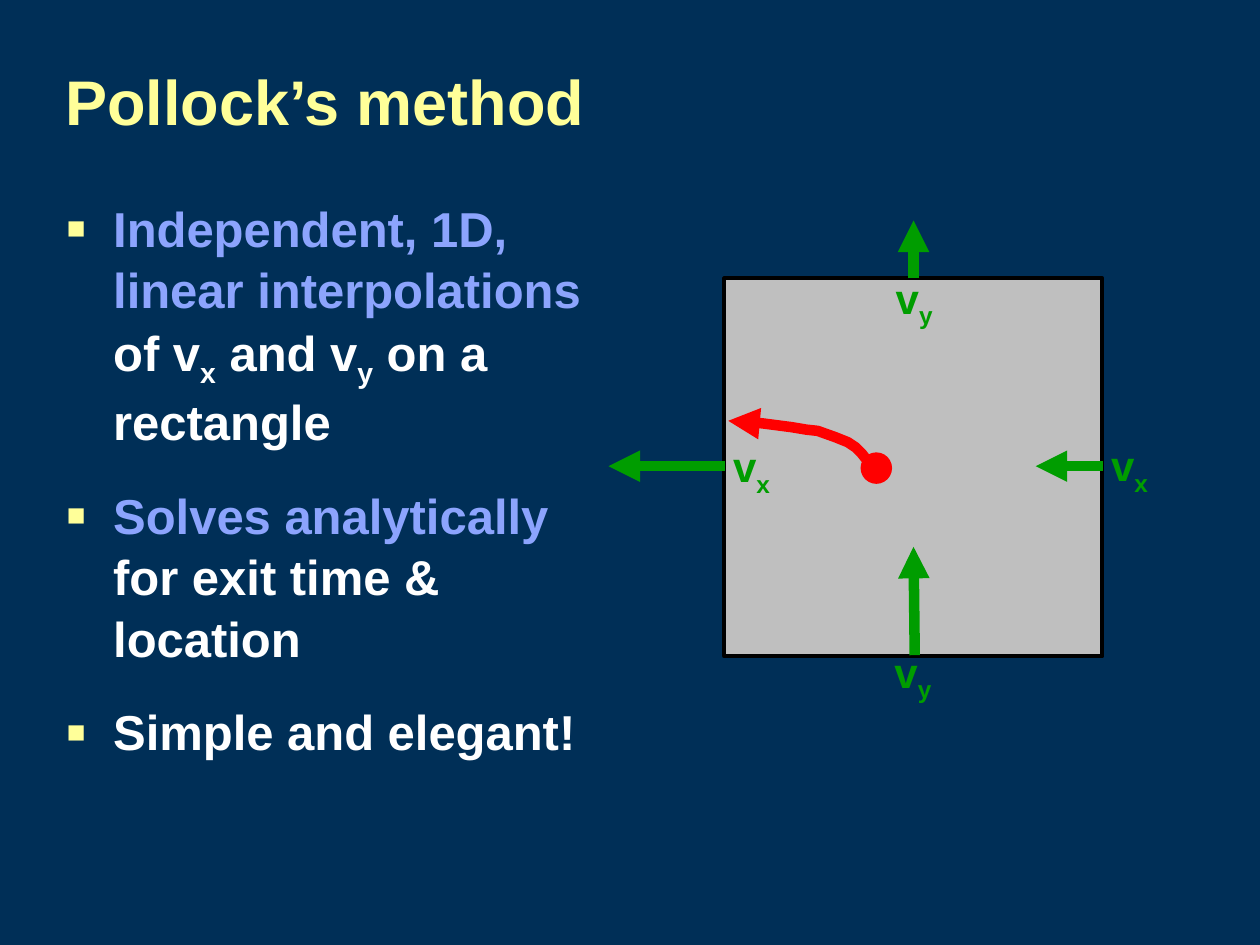
from lxml import etree
from pptx import Presentation
from pptx.dml.color import RGBColor
from pptx.enum import shapes, text
from pptx.oxml.ns import qn
from pptx.util import Inches, Pt

NAVY, YELLOW, BLUE, WHITE = "002F57", "FFFF99", "8CA4FD", "FFFFFF"
GREEN, RED, GRAY, BLACK = "009D00", "FF0000", "BFBFBF", "000000"

# Each run is (text, colour, is subscript)
TITLE = [[("Pollock’s method", YELLOW, False)]]
BULLETS = [
    [("Independent, 1D, linear interpolations ", BLUE, False),
     ("of v", WHITE, False), ("x", WHITE, True),
     (" and v", WHITE, False), ("y", WHITE, True),
     (" on a rectangle", WHITE, False)],
    [("Solves analytically", BLUE, False),
     (" for exit time & location", WHITE, False)],
    [("Simple and elegant!", WHITE, False)],
]

CELL_LEFT, CELL_TOP, CELL_SIZE = 5.75, 2.21, 3
CELL_RIGHT, CELL_BOTTOM = CELL_LEFT + CELL_SIZE, CELL_TOP + CELL_SIZE
MIDDLE_X, MIDDLE_Y = CELL_LEFT + CELL_SIZE / 2, 3.7

# Start and end of each arrow
VELOCITIES = [
    ((CELL_RIGHT, MIDDLE_Y), (8.22, MIDDLE_Y)),
    ((CELL_LEFT, MIDDLE_Y), (4.83, MIDDLE_Y)),
    ((MIDDLE_X + 0.01, CELL_BOTTOM - 0.01), (MIDDLE_X, 4.34)),
    ((MIDDLE_X, CELL_TOP), (MIDDLE_X, 1.75)),
]
PATH_END = ((6, 3.36), (5.78, 3.34))
LABELS = [("x", 5.72, 3.45), ("x", 8.72, 3.44), ("y", 7.01, 2.11), ("y", 7, 5.08)]
PATH = [(6.95, 3.74), (6.84, 3.6), (6.79, 3.55), (6.73, 3.51), (6.63, 3.47),
        (6.49, 3.42), (6.4, 3.41), (6.28, 3.39), (6.05, 3.36), (5.93, 3.35)]


def color(value):
    return RGBColor.from_string(value)


def add_child(parent, tag, **attributes):
    return etree.SubElement(parent, qn(tag), attributes)


def style(shape, fill=None, line=None, width=1):
    shape.shadow.inherit = False
    if fill:
        shape.fill.solid()
        shape.fill.fore_color.rgb = color(fill)
    else:
        shape.fill.background()
    if line:
        shape.line.color.rgb = color(line)
        shape.line.width = Pt(width)
    else:
        shape.line.fill.background()


def add_bullet(paragraph):
    properties = paragraph._p.get_or_add_pPr()
    properties.set("marL", str(Inches(0.38)))
    properties.set("indent", str(-Inches(0.38)))
    add_child(add_child(properties, "a:buClr"), "a:srgbClr", val=YELLOW)
    add_child(properties, "a:buSzPct", val="125000")
    add_child(properties, "a:buFont", typeface="Arial")
    add_child(properties, "a:buChar", char="▪")


def add_text(slide, paragraphs, left, top, width, height, size, wrap=True,
             anchor=text.MSO_ANCHOR.TOP, bullets=False):
    box = slide.shapes.add_textbox(*map(Inches, (left, top, width, height)))
    frame = box.text_frame
    frame.word_wrap = wrap
    frame.vertical_anchor = anchor
    for index, runs in enumerate(paragraphs):
        paragraph = frame.add_paragraph() if index else frame.paragraphs[0]
        if bullets:
            add_bullet(paragraph)
            paragraph.line_spacing = 1.05
            paragraph.space_before = Pt(18 if index else 0)
        for words, run_color, subscript in runs:
            run = paragraph.add_run()
            run.text = words
            run.font.name = "Arial"
            run.font.size = Pt(size)
            run.font.bold = True
            run.font.color.rgb = color(run_color)
            if subscript:
                run.font._element.set("baseline", "-25000")


def add_arrow(slide, start, end, line_color):
    arrow = slide.shapes.add_connector(
        shapes.MSO_CONNECTOR.STRAIGHT, *map(Inches, (*start, *end)))
    arrow.line.color.rgb = color(line_color)
    arrow.line.width = Pt(6)
    add_child(arrow.line._get_or_add_ln(), "a:tailEnd", type="triangle")
    add_child(arrow._element.spPr, "a:effectLst")


def add_preset(slide, kind, left, top, size, **look):
    shape = slide.shapes.add_shape(kind, *map(Inches, (left, top, size, size)))
    style(shape, **look)


def add_path(slide, points, line_color):
    start, *rest = [(Inches(x), Inches(y)) for x, y in points]
    builder = slide.shapes.build_freeform(*start)
    builder.add_line_segments(rest, close=False)
    style(builder.convert_to_shape(), line=line_color, width=6)


def main():
    presentation = Presentation()
    presentation.slide_width, presentation.slide_height = Inches(10), Inches(7.5)
    slide = presentation.slides.add_slide(presentation.slide_layouts[6])
    slide.background.fill.solid()
    slide.background.fill.fore_color.rgb = color(NAVY)

    add_text(slide, TITLE, 0.42, 0.17, 9.08, 1.25, 36,
             anchor=text.MSO_ANCHOR.MIDDLE)
    add_text(slide, BULLETS, 0.42, 1.5, 4.42, 4.91, 28, bullets=True)

    add_preset(slide, shapes.MSO_SHAPE.RECTANGLE, CELL_LEFT, CELL_TOP, CELL_SIZE,
               fill=GRAY, line=BLACK, width=2.25)
    for start, end in VELOCITIES:
        add_arrow(slide, start, end, GREEN)
    add_path(slide, PATH, RED)
    for axis, left, top in LABELS:
        label = [("v", GREEN, False), (axis, GREEN, True)]
        add_text(slide, [label], left, top, 0.51, 0.5, 24, wrap=False)
    add_arrow(slide, *PATH_END, RED)
    add_preset(slide, shapes.MSO_SHAPE.OVAL, 6.83, 3.59, 0.25, fill=RED)

    presentation.save("out.pptx")


if __name__ == "__main__":
    main()
